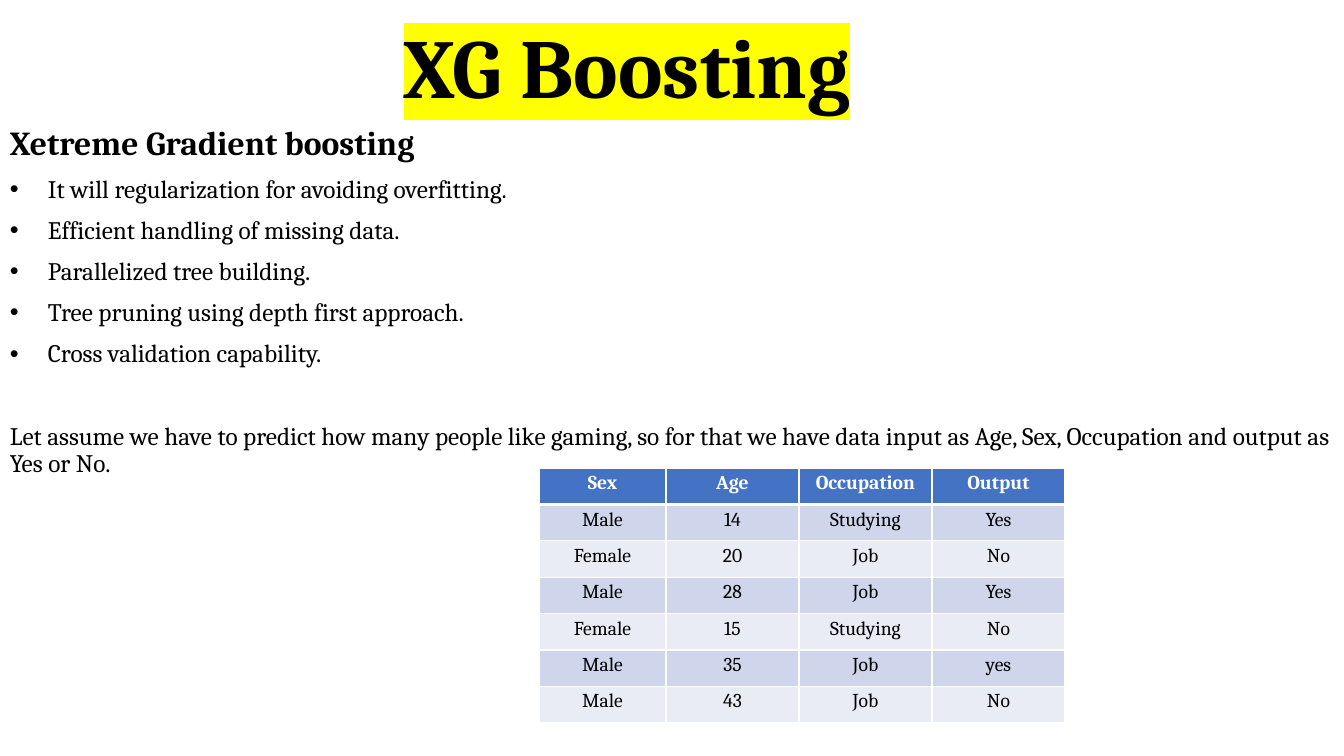
from lxml.etree import SubElement
from pptx import Presentation
from pptx.dml.color import RGBColor
from pptx.enum.text import MSO_ANCHOR, MSO_AUTO_SIZE, PP_ALIGN
from pptx.oxml.ns import qn
from pptx.util import Pt

PX = 914400 / 100.8
HUES = {"ink": "000000", "paper": "FFFFFF", "mark": "FFFF00",
        "head": "4472C4", "odd": "CFD5EA", "even": "E9EBF5"}


def px(num):
    return round(num * PX)


def write(para, text, size=18, bold=False, hue="ink", align=PP_ALIGN.LEFT,
          line=0.9, gap=0, bullet=False, mark=None):
    para.alignment = align
    para.line_spacing = line
    para.space_before = Pt(gap)
    if bullet:
        props = para._p.get_or_add_pPr()
        props.set("marL", str(px(38)))
        props.set("indent", str(px(-38)))
        SubElement(props, qn("a:buFont"), typeface="Arial")
        SubElement(props, qn("a:buChar"), char="•")
    run = para.add_run()
    run.text = text
    font = run.font
    font.size = Pt(size)
    font.bold = bold
    font.color.rgb = RGBColor.from_string(HUES[hue])
    if mark:
        light = SubElement(run._r.get_or_add_rPr(), qn("a:highlight"))
        SubElement(light, qn("a:srgbClr"), val=HUES[mark])
    font.name = "Cambria"


deck = Presentation()
deck.slide_width, deck.slide_height = px(1344), px(756)
slide = deck.slides.add_slide(deck.slide_layouts[5])

title = slide.shapes.title
title.left, title.top, title.width, title.height = map(px, (123, 19, 1008, 103))
frame = title.text_frame
frame.auto_size = MSO_AUTO_SIZE.NONE
frame.vertical_anchor = MSO_ANCHOR.BOTTOM
write(frame.paragraphs[0], "XG Boosting", size=60, bold=True,
      align=PP_ALIGN.CENTER, mark="mark")

body = slide.shapes.add_textbox(*map(px, (0, 121, 1344, 635))).text_frame
body.word_wrap = True
write(body.paragraphs[0], "Xetreme Gradient boosting", size=24, bold=True)
points = ["It will regularization for avoiding overfitting.",
          "Efficient handling of missing data.",
          "Parallelized tree building.",
          "Tree pruning using depth first approach.",
          "Cross validation capability."]
for point in points:
    write(body.add_paragraph(), point, gap=10, bullet=True)
write(body.add_paragraph(),
      "Let assume we have to predict how many people like gaming, so for that "
      "we have data input as Age, Sex, Occupation and output as Yes or No.",
      gap=39.5)

rows = [("Sex", "Age", "Occupation", "Output"),
        ("Male", "14", "Studying", "Yes"),
        ("Female", "20", "Job", "No"),
        ("Male", "28", "Job", "Yes"),
        ("Female", "15", "Studying", "No"),
        ("Male", "35", "Job", "yes"),
        ("Male", "43", "Job", "No")]
table = slide.shapes.add_table(len(rows), 4, *map(px, (539, 468, 526, 255))).table
for col, width in zip(table.columns, (127, 133, 133, 133)):
    col.width = px(width)

for r, row in enumerate(rows):
    for c, text in enumerate(row):
        cell = table.cell(r, c)
        cell.margin_left = cell.margin_right = px(9)
        cell.margin_top = cell.margin_bottom = px(4)
        write(cell.text_frame.paragraphs[0], text, size=14, bold=r == 0,
              hue="ink" if r else "paper", align=PP_ALIGN.CENTER, line=1.0)
        props = cell._tc.get_or_add_tcPr()
        for side in "LRTB":
            thick = (r, side) in ((0, "B"), (1, "T"))
            edge = SubElement(props, qn("a:ln" + side), w=str(Pt(3 if thick else 1)))
            paint = SubElement(edge, qn("a:solidFill"))
            SubElement(paint, qn("a:srgbClr"), val=HUES["paper"])
        cell.fill.solid()
        shade = "head" if r == 0 else "odd" if r % 2 else "even"
        cell.fill.fore_color.rgb = RGBColor.from_string(HUES[shade])

deck.save("out.pptx")
